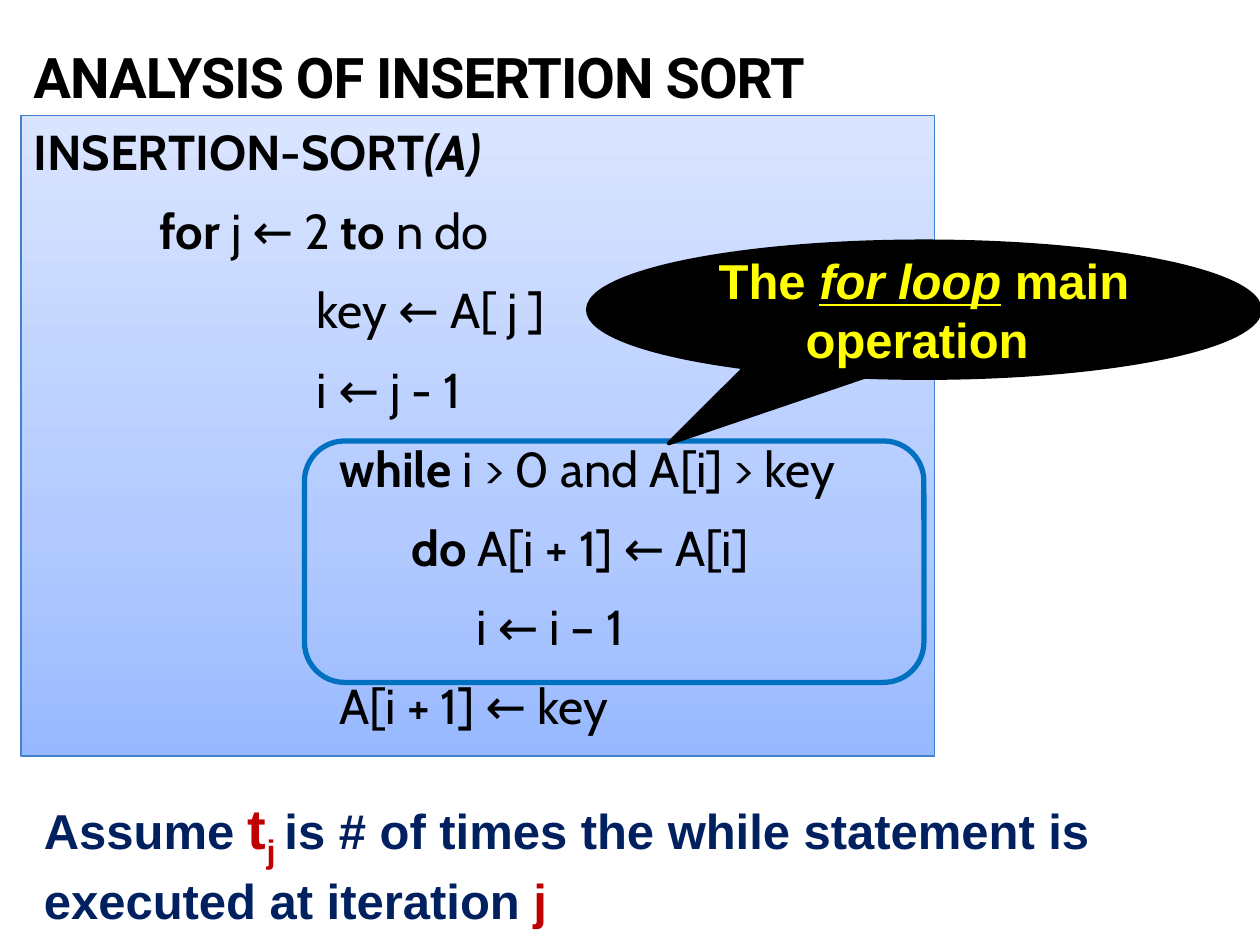
from copy import deepcopy

from pptx import Presentation
from pptx.dml.color import RGBColor
from pptx.enum.shapes import MSO_SHAPE as SHAPE
from pptx.enum.text import MSO_ANCHOR as ANCHOR, MSO_AUTO_SIZE as AUTO, PP_ALIGN as ALIGN
from pptx.oxml.ns import qn
from pptx.util import Pt

BLACK, NAVY, RED, BLUE, YELLOW = "000000", "002060", "C00000", "0070C0", "FFFF00"
PANEL_STOPS = [(0, "98B9FF"), (0.35, "B2CAFF"), (1, "D9E4FF")]

# Each line of pseudocode: indent in points, then (text, bold) runs
CODE = [
    (72, [("for ", True), ("j ← 2 ", False), ("to ", True), ("n do", False)]),
    (162, [("key ← A[ j ]", False)]),
    (162, [("i ← j - 1", False)]),
    (175, [("while ", True), ("i > 0 and A[i] > key", False)]),
    (216, [("do ", True), ("A[i + 1] ← A[i]", False)]),
    (253, [("i ← i – 1", False)]),
    (175, [("A[i + 1] ← key", False)]),
]


def rgb(code):
    return RGBColor.from_string(code)


class Deck:
    code_font, title_font, note_font = "Cabin", "Roboto", "Arial"
    size, big = 28, 32

    def __init__(self, width, height):
        self.prs = Presentation()
        self.prs.slide_width, self.prs.slide_height = Pt(width), Pt(height)
        self.s = self.prs.slides.add_slide(self.prs.slide_layouts[6])

    def text_box(self, x, y, w, h, anchor=ANCHOR.TOP):
        tf = self.s.shapes.add_textbox(Pt(x), Pt(y), Pt(w), Pt(h)).text_frame
        tf.word_wrap = True
        tf.vertical_anchor = anchor
        return tf

    def shape(self, kind, x, y, w, h, line, line_width, fill=None):
        sp = self.s.shapes.add_shape(kind, Pt(x), Pt(y), Pt(w), Pt(h))
        sp.shadow.inherit = False
        sp.line.color.rgb = rgb(line)
        sp.line.width = Pt(line_width)
        if fill:
            sp.fill.solid()
            sp.fill.fore_color.rgb = rgb(fill)
        else:
            sp.fill.background()
        return sp

    def gradient(self, sp, stops, angle):
        sp.fill.gradient()
        sp.fill.gradient_angle = angle
        gs_list = sp._element.spPr.find(qn("a:gradFill")).find(qn("a:gsLst"))
        while len(gs_list) < len(stops):
            gs_list.append(deepcopy(gs_list[0]))
        for stop, (position, color) in zip(sp.fill.gradient_stops, stops):
            stop.position = position
            stop.color.rgb = rgb(color)

    def style(self, p, font, size, color, bold=None, align=ALIGN.LEFT):
        p.alignment = align
        p.font.name, p.font.size, p.font.bold = font, Pt(size), bold
        p.font.color.rgb = rgb(color)

    def run(self, p, text, bold=None, italic=None, underline=None,
            size=None, color=None, **attributes):
        """Add a run; extra keywords become attributes of its rPr."""
        r = p.add_run()
        r.text = text
        r.font.bold, r.font.italic, r.font.underline = bold, italic, underline
        if size:
            r.font.size = Pt(size)
        if color:
            r.font.color.rgb = rgb(color)
        for name, value in attributes.items():
            r._r.get_or_add_rPr().set(name, str(value))

    def title(self, text, x, y, w, h):
        p = self.text_box(x, y, w, h, ANCHOR.BOTTOM).paragraphs[0]
        self.style(p, self.title_font, self.big, BLACK, True)
        self.run(p, text, spc=-60)

    def code_panel(self, x, y, w, h):
        sp = self.shape(SHAPE.RECTANGLE, x, y, w, h, "4081D2", 1)
        self.gradient(sp, PANEL_STOPS, 90)
        tf = sp.text_frame
        tf.word_wrap = True
        tf.vertical_anchor = ANCHOR.TOP
        p = tf.paragraphs[0]
        p.space_after = Pt(6)
        self.style(p, self.code_font, self.size, BLACK, True)
        self.run(p, "INSERTION-SORT")
        self.run(p, "(A)", italic=True)
        for indent, runs in CODE:
            p = tf.add_paragraph()
            p._p.get_or_add_pPr().set("marL", str(Pt(indent)))
            p.space_before, p.space_after = Pt(5.6), Pt(6)
            self.style(p, self.code_font, self.size, BLACK)
            for text, bold in runs:
                self.run(p, text, bold)

    def note(self, x, y, w, h):
        tf = self.text_box(x, y, w, h)
        tf.auto_size = AUTO.SHAPE_TO_FIT_TEXT
        p = tf.paragraphs[0]
        self.style(p, self.note_font, self.size, NAVY, True)
        self.run(p, "Assume ")
        self.run(p, "t", size=self.big, color=RED)
        self.run(p, "j ", size=self.big, color=RED, baseline=-25000)
        self.run(p, "is # of times the while statement is executed at iteration ")
        self.run(p, "j", color=RED)

    def callout(self, x, y, w, h, tip):
        sp = self.shape(SHAPE.OVAL_CALLOUT, x, y, w, h, BLACK, 2.25, BLACK)
        sp.adjustments[0], sp.adjustments[1] = tip
        tf = sp.text_frame
        tf.word_wrap = True
        tf.vertical_anchor = ANCHOR.MIDDLE
        p = tf.paragraphs[0]
        self.style(p, self.note_font, self.size, YELLOW, True, ALIGN.CENTER)
        self.run(p, "The ")
        self.run(p, "for loop", italic=True, underline=True)
        self.run(p, " main operation ")


def main():
    deck = Deck(720, 540)
    deck.title("ANALYSIS OF INSERTION SORT", 12, -24, 588, 90)
    deck.code_panel(12, 66, 522, 366)
    deck.note(18, 450, 660, 80)
    deck.shape(SHAPE.ROUNDED_RECTANGLE, 174, 252, 354, 138, BLUE, 3)
    deck.callout(336, 138, 384, 78, (-0.38, 0.98))
    deck.prs.save("out.pptx")


if __name__ == "__main__":
    main()
